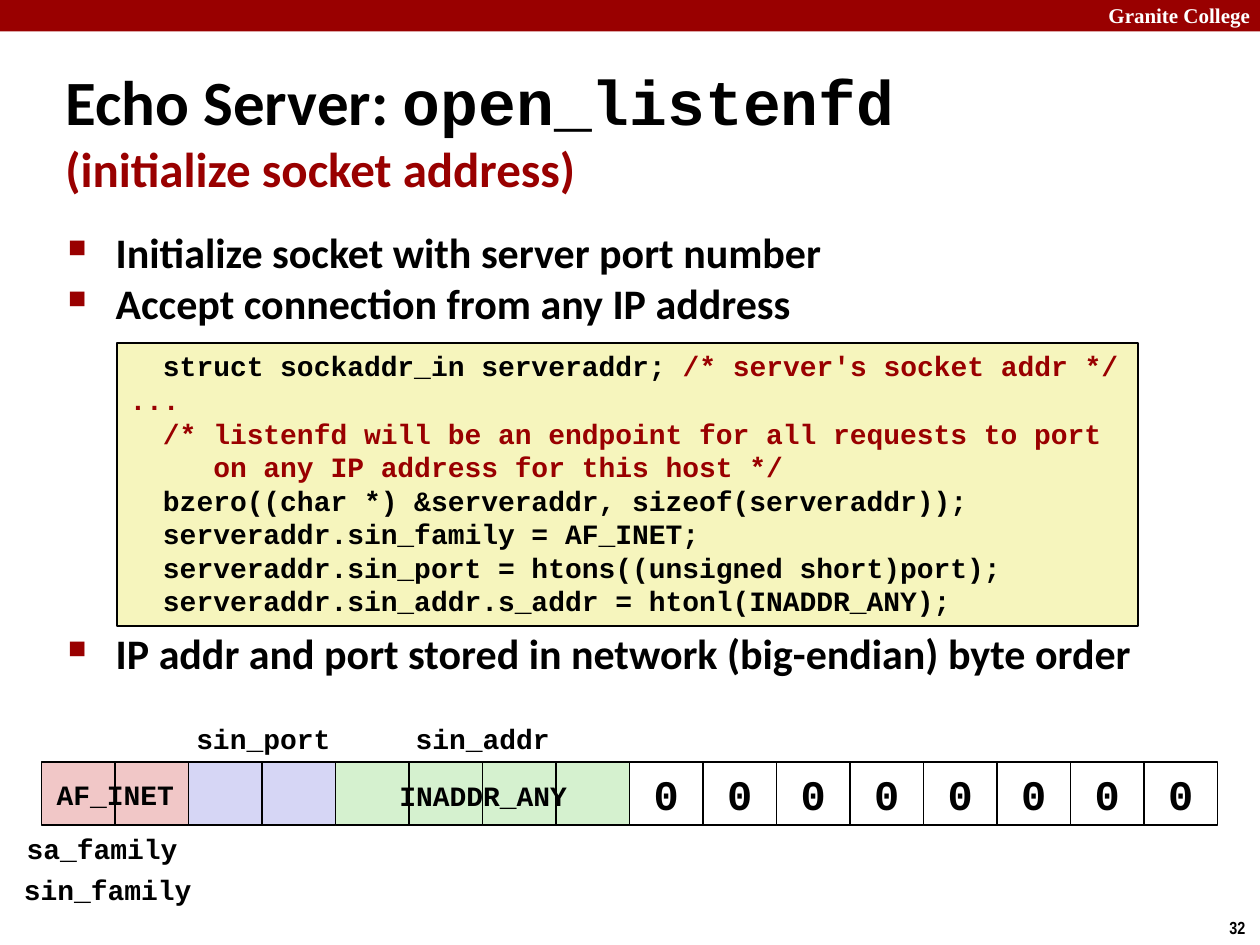
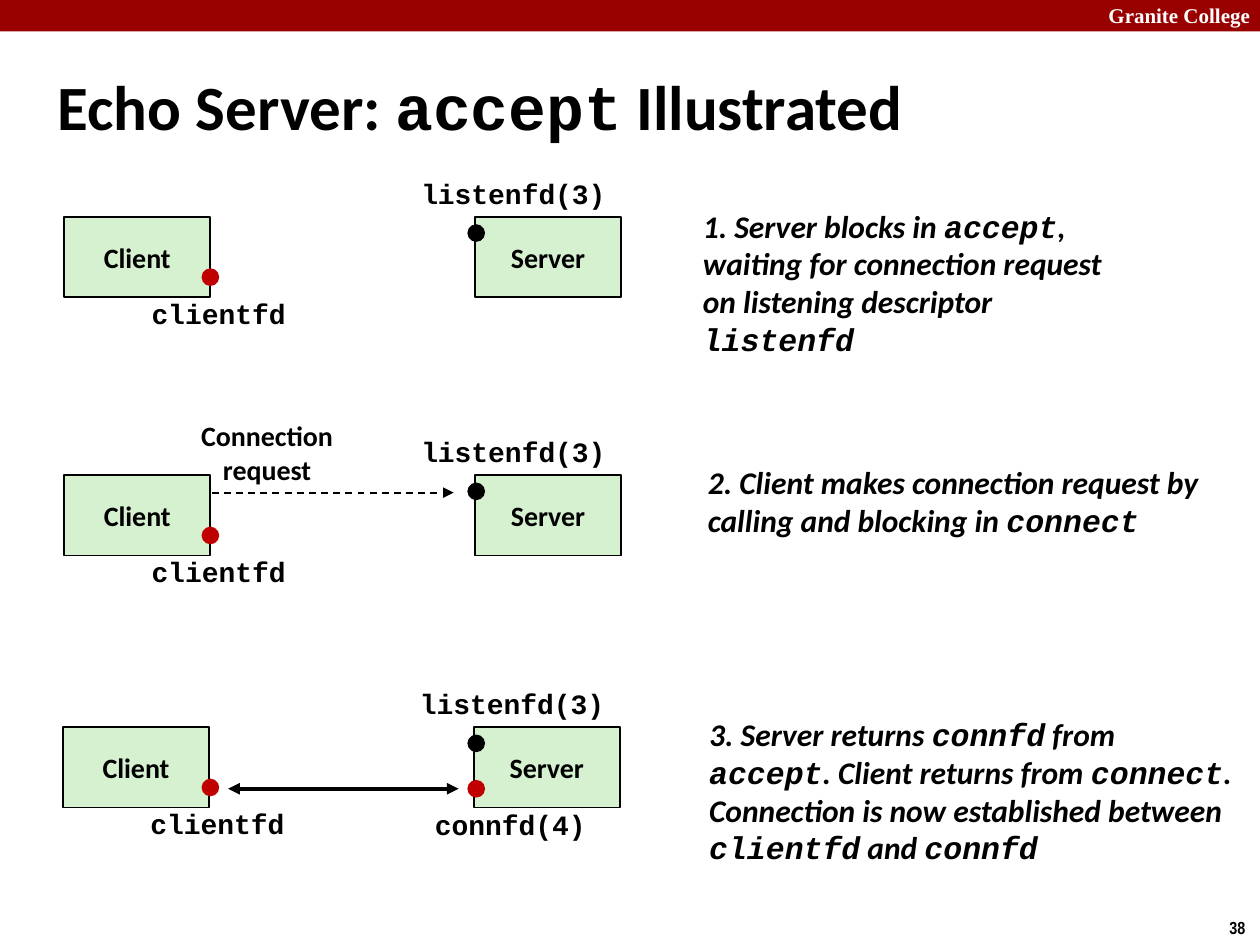
from pptx import Presentation
from pptx.dml.color import RGBColor
from pptx.enum.dml import MSO_LINE
from pptx.enum.shapes import MSO_CONNECTOR, MSO_SHAPE
from pptx.enum.text import MSO_ANCHOR, PP_ALIGN
from pptx.oxml.ns import qn
from pptx.util import Inches, Pt
from lxml import etree

# Shared style
RED, BLACK, WHITE = "990000", "000000", "FFFFFF"
PINK, BLUE, GREEN, CREAM = "F1C7C7", "D6D6F5", "D5F1CF", "F6F5BD"
DOT_RED = "C00000"
SANS, MONO = "Calibri", "Courier New"
CENTER, RIGHT = PP_ALIGN.CENTER, PP_ALIGN.RIGHT
TOP, MIDDLE = MSO_ANCHOR.TOP, MSO_ANCHOR.MIDDLE
code = {"font": MONO}
comment = {"color": RED}


def hex_color(value):
    return RGBColor.from_string(value)


def write(slide, at, *paragraphs, kind=None, fill=None, line=None, font=SANS,
          size=16, color=BLACK, italic=False, align=PP_ALIGN.LEFT,
          anchor=TOP, wrap=True):
    """Place text, in a filled shape if kind is given. A paragraph is a list
    of strings or (string, overrides) pairs; "\\n" is a line break."""
    place = [Inches(v) for v in at]
    if kind is None:
        shape = slide.shapes.add_textbox(*place)
    else:
        shape = slide.shapes.add_shape(kind, *place)
        shape.shadow.inherit = False
        shape.fill.solid()
        shape.fill.fore_color.rgb = hex_color(fill)
        if line:
            shape.line.color.rgb = hex_color(line)
            shape.line.width = Pt(1)
        else:
            shape.line.fill.background()
    frame = shape.text_frame
    frame.word_wrap = wrap
    frame.vertical_anchor = anchor
    for number, pieces in enumerate(paragraphs):
        paragraph = frame.add_paragraph() if number else frame.paragraphs[0]
        paragraph.alignment = align
        for piece in pieces:
            if piece == "\n":
                paragraph.add_line_break()
                continue
            words, own = (piece, {}) if isinstance(piece, str) else piece
            run = paragraph.add_run()
            run.text = words
            run.font.bold = True
            run.font.italic = italic
            run.font.name = own.get("font", font)
            run.font.size = Pt(own.get("size", size))
            run.font.color.rgb = hex_color(own.get("color", color))
    return shape


# Slides with band, page number and title
prs = Presentation()
prs.slide_width, prs.slide_height = Inches(10), Inches(7.5)
headings = [
    ("32", (0.42, 0.43, 8.58, 1.2),
     ["Echo Server: ", ("open_listenfd ", code), "\n",
      ("(initialize socket address)", {"size": 28, "color": RED})]),
    ("38", (0.36, 0.52, 9.17, 0.63),
     ["Echo Server: ", ("accept", code), " Illustrated"]),
]
for page, title_at, title in headings:
    slide = prs.slides.add_slide(prs.slide_layouts[6])
    write(slide, (0, 0, 10, 0.25), kind=MSO_SHAPE.RECTANGLE, fill=RED)
    write(slide, (8.64, -0.03, 1.38, 0.3), ["Granite College"],
          font="Times New Roman", size=12, color=WHITE, align=RIGHT)
    write(slide, (9.66, 7.23, 0.34, 0.27), [page],
          font="Arial Narrow", size=10, wrap=False)
    write(slide, title_at, title, size=36, anchor=MIDDLE)
address, accept = prs.slides

# Socket address: bullets above and below the code
bullet_blocks = [
    write(address, (0.44, 1.81, 9.51, 0.9),
          ["Initialize socket with server port number"],
          ["Accept connection from any IP address"], size=24),
    write(address, (0.44, 4.99, 9.51, 0.5),
          ["IP addr and port stored in network (big-endian) byte order"],
          size=24),
]
for block in bullet_blocks:
    for item in block.text_frame.paragraphs:
        item.line_spacing = 0.85
        item.space_before = Pt(4.5)
        props = item._p.get_or_add_pPr()
        props.set("marL", str(Inches(0.38)))
        props.set("indent", str(-Inches(0.38)))
        bullet_color = etree.SubElement(props, qn("a:buClr"))
        etree.SubElement(bullet_color, qn("a:srgbClr"), val=RED)
        etree.SubElement(props, qn("a:buSzPct"), val="60000")
        etree.SubElement(props, qn("a:buChar"), char="\u25a0")

# Code listing
write(address, (0.93, 2.72, 8.1, 2.25),
      ["  struct sockaddr_in serveraddr; ",
       ("/* server's socket addr */", comment)],
      [("...", comment)],
      [("  /* listenfd will be an endpoint for all requests to port", comment)],
      [("     on any IP address for this host */", comment)],
      ["  bzero((char *) &serveraddr, sizeof(serveraddr));"],
      ["  serveraddr.sin_family = AF_INET;"],
      ["  serveraddr.sin_port = htons((unsigned short)port);"],
      ["  serveraddr.sin_addr.s_addr = htonl(INADDR_ANY);"],
      kind=MSO_SHAPE.RECTANGLE, fill=CREAM, line=BLACK, font=MONO, wrap=False)

# The 16 bytes of the address structure
byte_width = 7 / 12
byte_fills = [PINK] * 2 + [BLUE] * 2 + [GREEN] * 4 + [WHITE] * 8
for index, fill in enumerate(byte_fills):
    content = [["0"]] if fill == WHITE else []
    write(address, (0.33 + index * byte_width, 6.05, byte_width, 0.5),
          *content, kind=MSO_SHAPE.RECTANGLE, fill=fill, line=BLACK,
          font=MONO, size=24, align=CENTER, anchor=MIDDLE)

# Field names and values
for field, left, top, width in [
        ("sa_family", 0.1, 6.55, 1.42), ("sin_port", 1.45, 5.68, 1.28),
        ("AF_INET", 0.34, 6.12, 1.15), ("sin_addr", 3.19, 5.68, 1.28),
        ("INADDR_ANY", 3.06, 6.13, 1.55), ("sin_family", 0.08, 6.88, 1.55)]:
    write(address, (left, top, width, 0.37), [field],
          font=MONO, align=CENTER, wrap=False)

# Accept: client and server at each step
steps = [
    (1.72, 0, (5.48, 1.59, 3.6, 1.3),
     ["1. Server blocks in ", ("accept", code),
      ", waiting for connection request on listening descriptor ",
      ("listenfd", code)]),
    (3.77, 0, (5.52, 3.62, 4.23, 0.71),
     ["2. Client makes connection request by calling and blocking in ",
      ("connect", code)]),
    (5.77, -0.01, (5.53, 5.62, 4.39, 1.31),
     ["3. Server returns ", ("connfd", code), " from ", ("accept", code),
      ". Client returns from ", ("connect", code),
      ". Connection is now established between ", ("clientfd", code),
      " and ", ("connfd", code)]),
]
descriptors = [("connfd(4)", 3.35, 6.36, 1.4)]
dots = [(3.71, 6.19, DOT_RED)]
for top, shift, story_at, story in steps:
    for role, left in [("Client", 0.51), ("Server", 3.77)]:
        write(accept, (left + shift, top, 1.16, 0.64), [role],
              kind=MSO_SHAPE.RECTANGLE, fill=GREEN, line=BLACK,
              align=CENTER, anchor=MIDDLE, wrap=False)
    write(accept, story_at, story, size=18, italic=True, anchor=MIDDLE)
    descriptors += [("listenfd(3)", 3.24 + shift, top - 0.37, 1.67),
                    ("clientfd", 1.1 + shift, top + 0.58, 1.27)]
    dots += [(1.6, top + 0.41, DOT_RED), (3.71, top + 0.06, BLACK)]

for name, left, top, width in descriptors:
    write(accept, (left, top, width, 0.37), [name],
          font=MONO, align=CENTER, anchor=MIDDLE, wrap=False)
write(accept, (1.49, 3.27, 1.26, 0.64), ["Connection"], ["request"],
      align=CENTER, anchor=MIDDLE, wrap=False)

# Request arrow and established connection
for start, end, y, weight, dash, ends in [
        (1.68, 3.6, 3.91, 1, MSO_LINE.DASH, ["a:tailEnd"]),
        (1.81, 3.64, 6.26, 2.25, None, ["a:headEnd", "a:tailEnd"])]:
    arrow = accept.shapes.add_connector(
        MSO_CONNECTOR.STRAIGHT, Inches(start), Inches(y), Inches(end), Inches(y))
    arrow.line.color.rgb = hex_color(BLACK)
    arrow.line.width = Pt(weight)
    if dash:
        arrow.line.dash_style = dash
    for tip in ends:
        etree.SubElement(arrow.line._get_or_add_ln(), qn(tip), type="triangle")
    etree.SubElement(arrow._element.spPr, qn("a:effectLst"))

# Descriptor dots
for left, top, fill in dots:
    write(accept, (left, top, 0.14, 0.14), kind=MSO_SHAPE.OVAL, fill=fill)

prs.save("out.pptx")
